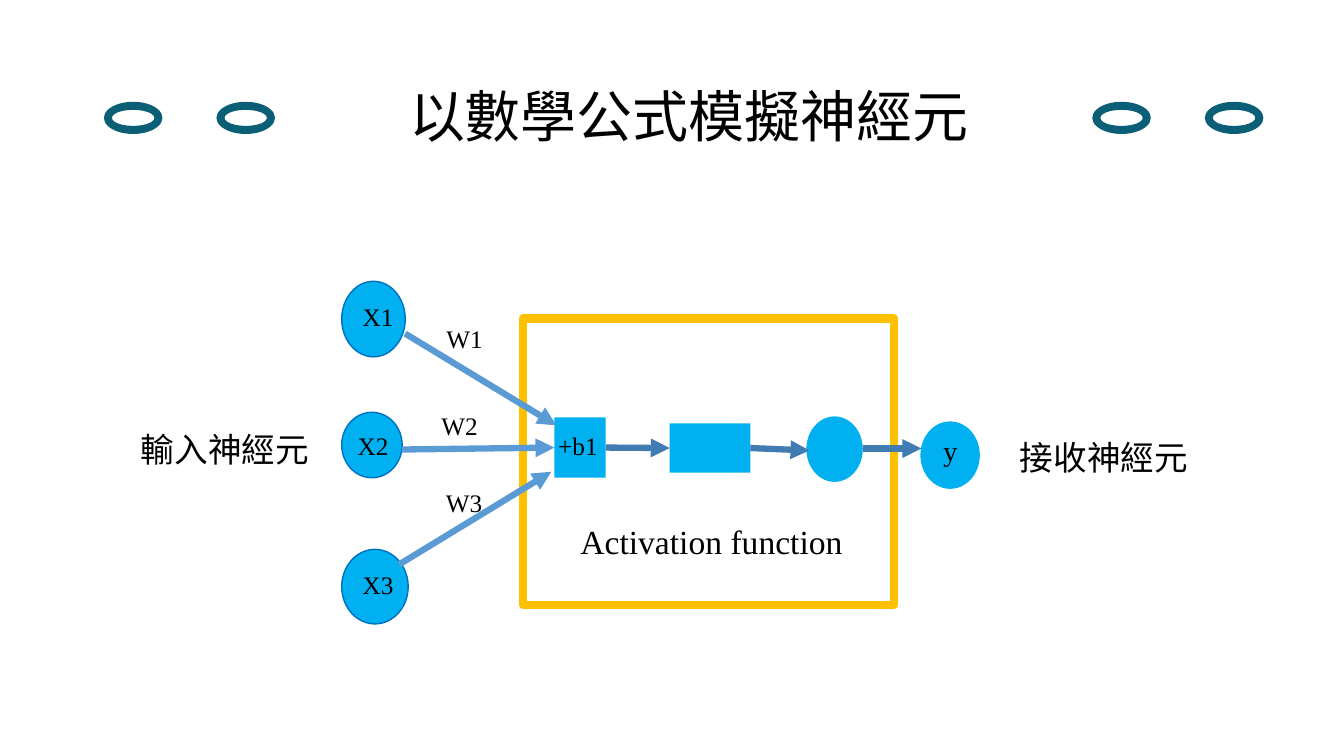
from lxml import etree
from pptx import Presentation
from pptx.dml.color import RGBColor
from pptx.enum.shapes import MSO_CONNECTOR, MSO_SHAPE
from pptx.enum.text import PP_ALIGN
from pptx.oxml.ns import qn
from pptx.util import Pt

BLACK = RGBColor(0x00, 0x00, 0x00)
TEAL = RGBColor(0x0A, 0x5E, 0x75)
CYAN = RGBColor(0x00, 0xB0, 0xF0)
BLUE = RGBColor(0x00, 0x70, 0xC0)
GOLD = RGBColor(0xFF, 0xC0, 0x00)
STEEL = RGBColor(0x40, 0x7C, 0xB2)
SKY = RGBColor(0x5B, 0x9B, 0xD5)

DONUT = MSO_SHAPE.DONUT
RECT = MSO_SHAPE.RECTANGLE
NODE = MSO_SHAPE.FLOWCHART_CONNECTOR
LINE = MSO_CONNECTOR.STRAIGHT
LEFT = PP_ALIGN.LEFT
JUSTIFY = PP_ALIGN.JUSTIFY

HAN = "Noto Sans CJK SC"
LATIN = "Times New Roman"
LEFT_SIDE, RIGHT_SIDE = 1, 3


class Canvas:
    """Draws styled elements on one slide, in points."""

    def __init__(self, slide):
        self.shapes = slide.shapes

    def shape(self, kind, x, y, w, h, fill=None, line=None, width=1):
        item = self.shapes.add_shape(kind, Pt(x), Pt(y), Pt(w), Pt(h))
        item.shadow.inherit = False
        if fill is None:
            item.fill.background()
        else:
            item.fill.solid()
            item.fill.fore_color.rgb = fill
        if line is None:
            item.line.fill.background()
        else:
            item.line.color.rgb = line
            item.line.width = Pt(width)
        return item

    def arrow(self, x1, y1, x2, y2, color, begin=None, end=None):
        item = self.shapes.add_connector(LINE, Pt(x1), Pt(y1), Pt(x2), Pt(y2))
        if begin is not None:
            item.begin_connect(begin, RIGHT_SIDE)
        if end is not None:
            item.end_connect(end, LEFT_SIDE)
        item.line.color.rgb = color
        item.line.width = Pt(4.5)
        etree.SubElement(item.line._get_or_add_ln(), qn("a:tailEnd"), type="triangle")
        etree.SubElement(item._element.spPr, qn("a:effectLst"))

    def text(self, words, x, y, w, h, size=18, font=LATIN, align=LEFT):
        box = self.shapes.add_textbox(Pt(x), Pt(y), Pt(w), Pt(h))
        box.text_frame.word_wrap = True
        para = box.text_frame.paragraphs[0]
        para.alignment = align
        run = para.add_run()
        run.text = words
        run.font.size = Pt(size)
        run.font.name = font
        run.font.color.rgb = BLACK
        etree.SubElement(run._r.get_or_add_rPr(), qn("a:ea"), typeface=font)


def main():
    deck = Presentation()
    deck.slide_width, deck.slide_height = Pt(960), Pt(540)
    art = Canvas(deck.slides.add_slide(deck.slide_layouts[6]))

    # Title between two pairs of rings
    for start in (74.2, 780.2):
        for step in (0, 80.4):
            art.shape(DONUT, start + step, 72.7, 41.8, 23, TEAL)
    art.text("以數學公式模擬神經元", 285.1, 54.7, 421.9, 55.4, 40, HAN, JUSTIFY)

    # Frame and input neurons
    art.shape(RECT, 373.7, 227.5, 265, 204.5, line=GOLD, width=6)
    for y, w, h in ((200.9, 45.4, 54), (294.5, 43.2, 46.8), (392.4, 47.5, 53.3)):
        art.shape(NODE, 244.1, y, w, h, CYAN, BLUE)

    # Bias, activation and output
    bias = art.shape(RECT, 396, 298.1, 36.7, 43.2, CYAN)
    active = art.shape(RECT, 478.4, 302.4, 57.6, 35.3, CYAN)
    art.shape(NODE, 576, 297.4, 40.3, 46.8, CYAN)
    art.shape(NODE, 657.4, 301, 42.5, 48.2, CYAN)

    # Arrows along the chain, then from the inputs
    art.arrow(432.7, 321.1, 479.5, 321.1, STEEL, bias, active)
    art.arrow(535, 321.1, 578.2, 321.8, STEEL, active)
    art.arrow(616.3, 320.4, 658.1, 320.4, STEEL)
    art.arrow(289.4, 238.3, 397.4, 303.8, SKY)
    art.arrow(287.3, 321.1, 395.3, 320.4, SKY, end=bias)
    art.arrow(285.1, 403.2, 393.8, 337, SKY)

    # Neuron and weight labels
    for words, x, y, w in (
        ("X1", 252, 211.7, 37.4),
        ("X2", 248.4, 303.8, 38.9),
        ("X3", 252, 403.2, 37.4),
        ("W1", 311.8, 227.5, 53.3),
        ("W2", 308.2, 289.4, 47.5),
        ("W3", 311.4, 344.2, 43.2),
        ("+b1", 391.7, 303.8, 43.2),
    ):
        art.text(words, x, y, w, 28.8)
    art.text("y", 666.7, 306, 27.4, 31, 20)

    # Captions
    art.text("輸入神經元", 93.6, 303.1, 136.1, 36, 24, HAN)
    art.text("接收神經元", 721.4, 308.9, 139, 36, 24, HAN)
    art.text("Activation function", 407.5, 368.6, 208.8, 36, 24)

    deck.save("out.pptx")


if __name__ == "__main__":
    main()
